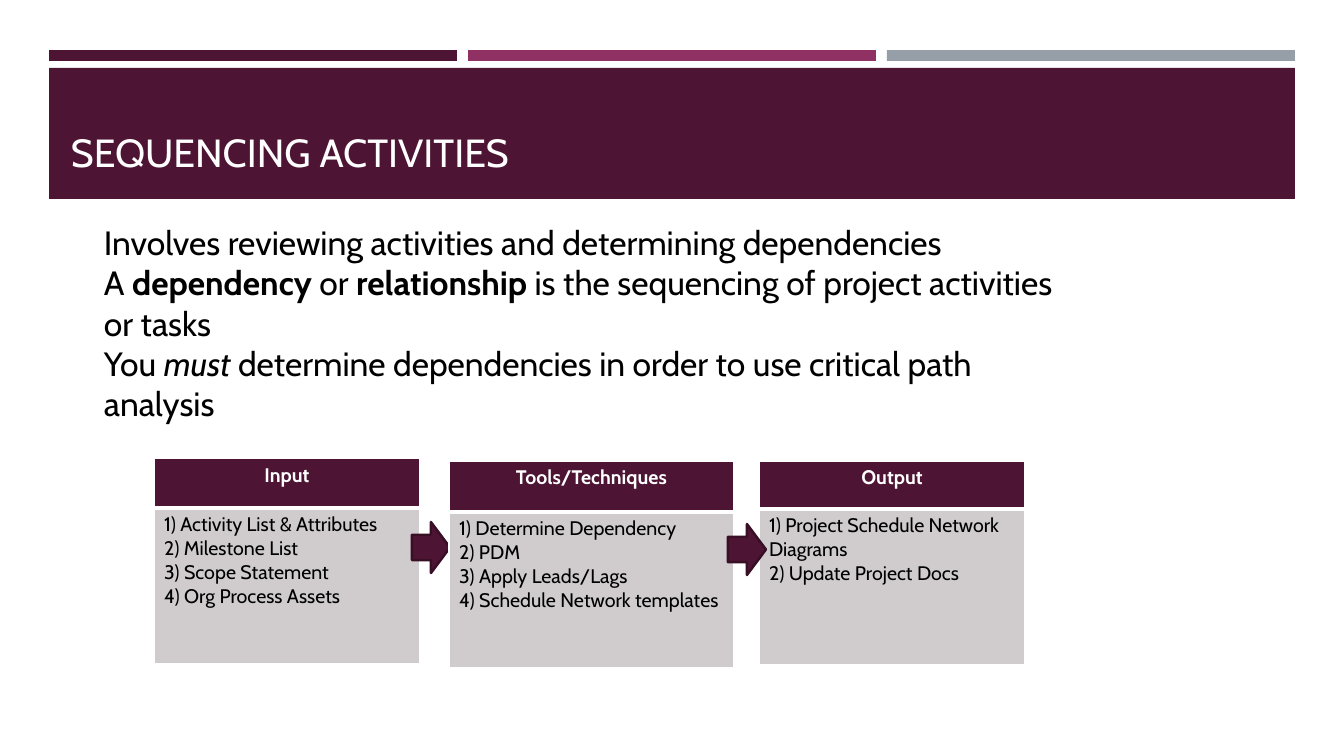
from typing import NamedTuple

from lxml import etree
from pptx import Presentation
from pptx.dml.color import RGBColor
from pptx.enum.shapes import MSO_SHAPE
from pptx.enum.text import MSO_ANCHOR, PP_ALIGN
from pptx.oxml.ns import qn
from pptx.util import Emu, Pt

EMU_PER_PX = 12192000 / 1344
FONT = "Cabin"
PLUM = RGBColor(0x4D, 0x14, 0x34)
DARK_PLUM = RGBColor(0x39, 0x0F, 0x26)
MAGENTA = RGBColor(0x90, 0x31, 0x63)
SLATE = RGBColor(0x96, 0x9F, 0xA7)
LIGHT_GRAY = RGBColor(0xD0, 0xCC, 0xCE)
WHITE = RGBColor(0xFF, 0xFF, 0xFF)
BLACK = RGBColor(0, 0, 0)
RECTANGLE = MSO_SHAPE.RECTANGLE
RIGHT_ARROW = MSO_SHAPE.RIGHT_ARROW
BOTTOM = MSO_ANCHOR.BOTTOM
LEFT, CENTER = PP_ALIGN.LEFT, PP_ALIGN.CENTER


class Box(NamedTuple):
    """A place on the slide, in pixels."""
    left: int
    top: int
    width: int
    height: int

    def emu(self) -> list[Emu]:
        """Return the four lengths in EMU."""
        return [px(value) for value in self]


class Phrase(NamedTuple):
    """A stretch of text with its emphasis."""
    text: str
    bold: bool = False
    italic: bool = False


class Stage(NamedTuple):
    """One table of the process: a heading over its items."""
    heading: str
    items: list[str]
    left: int
    top: int
    width: int
    heading_height: int


BANDS = [
    (Box(49, 50, 408, 11), PLUM),
    (Box(887, 50, 408, 11), SLATE),
    (Box(468, 50, 408, 11), MAGENTA),
    (Box(49, 68, 1246, 131), PLUM),
]
STATEMENTS = [
    [Phrase("Involves reviewing activities and determining dependencies")],
    [Phrase("A "), Phrase("dependency", bold=True), Phrase(" or "),
     Phrase("relationship", bold=True),
     Phrase(" is the sequencing of project activities or tasks")],
    [Phrase("You "), Phrase("must", italic=True),
     Phrase(" determine dependencies in order to use critical path analysis")],
]
INPUT = Stage("Input", ["1) Activity List & Attributes", "2) Milestone List",
                        "3) Scope Statement", "4) Org Process Assets"],
              154, 458, 266, 50)
TOOLS = Stage("Tools/Techniques", ["1) Determine Dependency", "2) PDM",
                                   "3) Apply Leads/Lags",
                                   "4) Schedule Network templates"],
              449, 461, 285, 51)
OUTPUT = Stage("Output", ["1) Project Schedule Network Diagrams",
                          "2) Update Project Docs"],
               759, 461, 266, 48)
ITEMS_HEIGHT = 156
INPUT_TO_TOOLS = Box(412, 522, 38, 51)
TOOLS_TO_OUTPUT = Box(728, 524, 38, 51)


def px(value: int) -> Emu:
    """Turn pixels into EMU."""
    return Emu(round(value * EMU_PER_PX))


def style(paragraph, size: int, color: RGBColor) -> None:
    """Set the font of a whole paragraph."""
    paragraph.font.name = FONT
    paragraph.font.size = Pt(size)
    paragraph.font.color.rgb = color


def draw_shape(slide, kind, box: Box, fill: RGBColor):
    """Draw a flat shape without outline or shadow."""
    shape = slide.shapes.add_shape(kind, *box.emu())
    shape.shadow.inherit = False
    shape.fill.solid()
    shape.fill.fore_color.rgb = fill
    shape.line.fill.background()
    return shape


def draw_arrow(slide, box: Box) -> None:
    """Draw an outlined arrow between two stages."""
    arrow = draw_shape(slide, RIGHT_ARROW, box, PLUM)
    arrow.line.color.rgb = DARK_PLUM
    arrow.line.width = Pt(1.75)


def draw_text(slide, box: Box, paragraphs: list[list[Phrase]], size: int,
              color: RGBColor):
    """Draw a wrapping text box and return its frame."""
    frame = slide.shapes.add_textbox(*box.emu()).text_frame
    frame.word_wrap = True
    for index, phrases in enumerate(paragraphs):
        paragraph = frame.add_paragraph() if index else frame.paragraphs[0]
        style(paragraph, size, color)
        for phrase in phrases:
            run = paragraph.add_run()
            run.text = phrase.text
            if phrase.bold:
                run.font.bold = True
            if phrase.italic:
                run.font.italic = True
    return frame


def set_borders(cell, top: int, bottom: int) -> None:
    """Give a cell white borders, one point wide at the sides."""
    properties = cell._tc.get_or_add_tcPr()
    for side, points in (("L", 1), ("R", 1), ("T", top), ("B", bottom)):
        line = etree.SubElement(properties, qn(f"a:ln{side}"), w=str(Pt(points)))
        fill = etree.SubElement(line, qn("a:solidFill"))
        etree.SubElement(fill, qn("a:srgbClr"), val=str(WHITE))


def fill_cell(cell, lines: list[str], fill: RGBColor, color: RGBColor,
              bold: bool, align: PP_ALIGN) -> None:
    """Write a cell's lines and colour it."""
    cell.fill.solid()
    cell.fill.fore_color.rgb = fill
    cell.text = "\n".join(lines)
    for paragraph in cell.text_frame.paragraphs:
        style(paragraph, 14, color)
        paragraph.font.bold = bold
        paragraph.alignment = align


def draw_stage(slide, stage: Stage) -> None:
    """Draw a stage as a table of two rows."""
    box = Box(stage.left, stage.top, stage.width,
              stage.heading_height + ITEMS_HEIGHT)
    table = slide.shapes.add_table(2, 1, *box.emu()).table
    table.rows[0].height = px(stage.heading_height)
    table.rows[1].height = px(ITEMS_HEIGHT)
    heading, items = table.cell(0, 0), table.cell(1, 0)
    set_borders(heading, top=1, bottom=3)
    set_borders(items, top=3, bottom=1)
    fill_cell(heading, [stage.heading], PLUM, WHITE, True, CENTER)
    fill_cell(items, stage.items, LIGHT_GRAY, BLACK, False, LEFT)


def main() -> None:
    """Build and save the slide."""
    deck = Presentation()
    deck.slide_width, deck.slide_height = px(1344), px(756)
    slide = deck.slides.add_slide(deck.slide_layouts[6])
    for box, color in BANDS:
        draw_shape(slide, RECTANGLE, box, color)
    title = draw_text(slide, Box(61, 69, 1216, 111),
                      [[Phrase("SEQUENCING ACTIVITIES")]], 28, WHITE)
    title.vertical_anchor = BOTTOM
    draw_text(slide, Box(94, 217, 1004, 211), STATEMENTS, 24, BLACK)
    draw_stage(slide, INPUT)
    draw_arrow(slide, INPUT_TO_TOOLS)
    draw_stage(slide, TOOLS)
    draw_stage(slide, OUTPUT)
    draw_arrow(slide, TOOLS_TO_OUTPUT)
    deck.save("out.pptx")


main()
